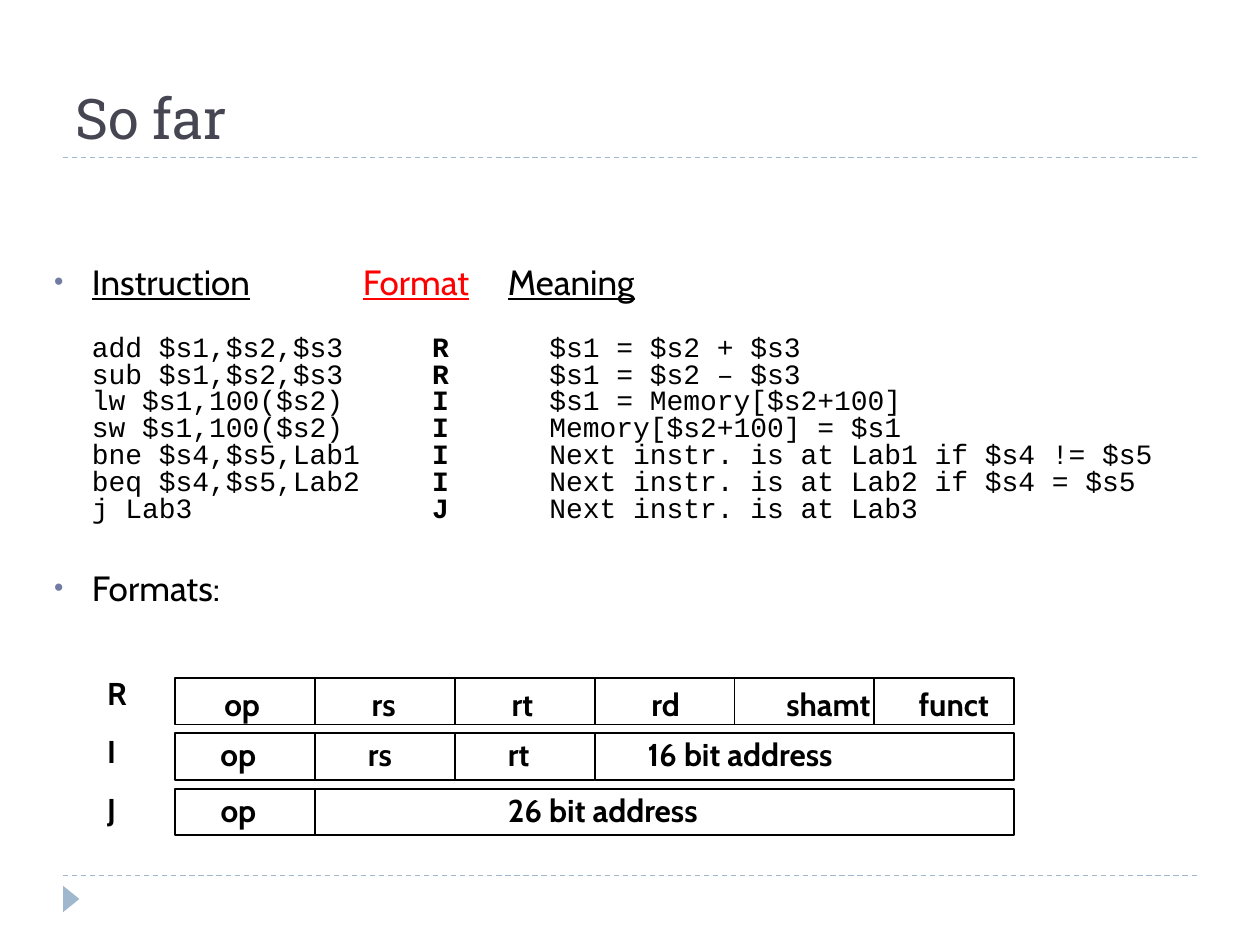
from copy import deepcopy
from dataclasses import dataclass

from lxml.etree import SubElement
from pptx import Presentation
from pptx.dml.color import RGBColor
from pptx.enum.dml import MSO_LINE
from pptx.enum.shapes import MSO_CONNECTOR, MSO_SHAPE
from pptx.enum.text import MSO_ANCHOR, MSO_AUTO_SIZE, PP_ALIGN
from pptx.oxml.ns import qn
from pptx.util import Inches, Pt

BLACK = RGBColor(0x00, 0x00, 0x00)
RED = RGBColor(0xFF, 0x00, 0x00)
SLATE = RGBColor(0x46, 0x46, 0x53)
PALE_BLUE = RGBColor(0x9F, 0xB8, 0xCD)
BULLET_COLOR = RGBColor(0x72, 0x7C, 0xA3)

HEADING_FONT, TEXT_FONT, CODE_FONT = "Roboto Slab", "Cabin", "Courier New"


@dataclass
class Instruction:
    code: str
    format: str
    meaning: str


@dataclass
class FormatRow:
    top: float
    spans: list[int]  # cell widths in field units
    text: str
    text_left: float
    text_top: float
    text_width: float


INSTRUCTIONS = [
    Instruction("add $s1,$s2,$s3", "R", "$s1 = $s2 + $s3"),
    Instruction("sub $s1,$s2,$s3", "R", "$s1 = $s2 – $s3"),
    Instruction("lw $s1,100($s2)", "I", "$s1 = Memory[$s2+100]"),
    Instruction("sw $s1,100($s2)", "I", "Memory[$s2+100] = $s1"),
    Instruction("bne $s4,$s5,Lab1", "I", "Next instr. is at Lab1 if $s4 != $s5"),
    Instruction("beq $s4,$s5,Lab2", "I", "Next instr. is at Lab2 if $s4 = $s5"),
    Instruction("j Lab3", "J", "Next instr. is at Lab3"),
]
FORMAT_ROWS = [
    FormatRow(5.38, [1] * 6, "\top\trs\trt\trd\tshamt\tfunct", 1.03, 5.33, 6.99),
    FormatRow(5.82, [1, 1, 1, 3], "\top\trs\trt\t16 bit address", 1, 5.73, 6.43),
    FormatRow(6.26, [1, 5], "\top\t\t26 bit address", 1, 6.17, 5.32),
]
FIELD_LEFT, FIELD_WIDTH, FIELD_HEIGHT = 1.39, 1.11, 0.37
FIELD_TABS = [0.61, 1.78, 2.89, 4, 5.07, 6.12]
# Stops for: Format heading, format letter, Meaning heading, meaning text
LISTING_TABS = [2.45, 3, 3.6, 3.93]


def place(shape, left: float, top: float, width: float, height: float) -> None:
    shape.left, shape.top = Inches(left), Inches(top)
    shape.width, shape.height = Inches(width), Inches(height)


def set_bullet(paragraph) -> None:
    properties = paragraph._p.get_or_add_pPr()
    properties.set("marL", str(Inches(0.3)))
    properties.set("indent", str(Inches(-0.3)))
    color = SubElement(properties, qn("a:buClr"))
    SubElement(color, qn("a:srgbClr"), val=str(BULLET_COLOR))
    SubElement(properties, qn("a:buSzPct"), val="76000")
    SubElement(properties, qn("a:buChar"), char="•")


def set_tabs(paragraph, stops: list[float]) -> None:
    tabs = SubElement(paragraph._p.get_or_add_pPr(), qn("a:tabLst"))
    for stop in stops:
        SubElement(tabs, qn("a:tab"), pos=str(Inches(stop)), algn="l")


def set_font(styled, name: str, size: float, color=BLACK, bold=None) -> None:
    font = styled.font
    font.name, font.size, font.bold = name, Pt(size), bold
    font.color.rgb = color


def add_run(paragraph, text: str):
    run = paragraph.add_run()
    run.text = text
    return run


def add_heading_run(paragraph, text: str, color=BLACK, underline: bool = True) -> None:
    run = add_run(paragraph, text)
    set_font(run, TEXT_FONT, 20, color)
    run.font.underline = underline


def add_code_run(paragraph, text: str, bold: bool = False) -> None:
    set_font(add_run(paragraph, text), CODE_FONT, 16, bold=bold)


def break_line(paragraph) -> None:
    """Add a line break that keeps the format of the last run."""
    properties = deepcopy(paragraph.runs[-1].font._rPr)
    paragraph.add_line_break()
    paragraph._p[-1].append(properties)


def add_rule(slide, y: float) -> None:
    rule = slide.shapes.add_connector(
        MSO_CONNECTOR.STRAIGHT, Inches(0.5), Inches(y), Inches(9.5), Inches(y))
    rule.line.color.rgb = PALE_BLUE
    rule.line.width = Pt(0.75)
    rule.line.dash_style = MSO_LINE.DASH
    SubElement(rule._element.spPr, qn("a:effectLst"))


def add_label_box(slide, left: float, top: float, width: float, height: float):
    frame = slide.shapes.add_textbox(
        Inches(left), Inches(top), Inches(width), Inches(height)).text_frame
    frame.word_wrap = False
    frame.margin_left = frame.margin_right = Inches(0.02)
    frame.margin_top = frame.margin_bottom = Inches(0.03)
    return frame


def add_format_cells(slide, row: FormatRow) -> None:
    left = FIELD_LEFT
    for span in row.spans:
        width = span * FIELD_WIDTH
        cell = slide.shapes.add_shape(
            MSO_SHAPE.RECTANGLE, Inches(left), Inches(row.top),
            Inches(width), Inches(FIELD_HEIGHT))
        cell.shadow.inherit = False
        cell.fill.background()
        cell.line.color.rgb = BLACK
        cell.line.width = Pt(1)
        left += width


def add_format_text(slide, row: FormatRow) -> None:
    frame = add_label_box(slide, row.text_left, row.text_top, row.text_width, 0.67)
    frame.margin_left = Inches(0.14)
    fields = frame.paragraphs[0]
    set_tabs(fields, FIELD_TABS)
    fields.line_spacing = Pt(27)
    set_font(fields, TEXT_FONT, 18, bold=True)
    add_run(fields, row.text)


def fill_body(frame) -> None:
    # Column headings
    listing = frame.paragraphs[0]
    set_bullet(listing)
    set_tabs(listing, LISTING_TABS)
    listing.space_before = Pt(0)
    listing.line_spacing = 0.8
    add_heading_run(listing, "Instruction")
    add_heading_run(listing, "\t", underline=False)
    add_heading_run(listing, "Format", RED)
    add_heading_run(listing, "\t", underline=False)
    add_heading_run(listing, "Meaning")
    break_line(listing)

    # Instruction lines, each passing over the two heading stops
    for instruction in INSTRUCTIONS:
        break_line(listing)
        add_code_run(listing, instruction.code + "\t\t")
        add_code_run(listing, instruction.format, bold=True)
        add_code_run(listing, "\t\t" + instruction.meaning)

    # Lead-in to the format diagram
    formats = frame.add_paragraph()
    set_bullet(formats)
    formats.space_before = Pt(29)
    formats.line_spacing = 0.8
    set_font(formats, TEXT_FONT, 20)
    add_run(formats, "Formats:")


def main() -> None:
    prs = Presentation()
    prs.slide_width, prs.slide_height = Inches(10), Inches(7.5)
    slide = prs.slides.add_slide(prs.slide_layouts[1])

    # Rules and corner marker
    add_rule(slide, 6.95)
    add_rule(slide, 1.25)
    marker = slide.shapes.add_shape(
        MSO_SHAPE.ISOSCELES_TRIANGLE, Inches(0.46), Inches(7.07), Inches(0.21), Inches(0.13))
    marker.rotation = 90
    marker.shadow.inherit = False
    marker.fill.solid()
    marker.fill.fore_color.rgb = PALE_BLUE
    marker.line.fill.background()

    # Title and body
    title, body = slide.shapes.title, slide.placeholders[1]
    place(title, 0.5, 0.17, 9, 1.08)
    title.text_frame.text = "So far"
    title.text_frame.vertical_anchor = MSO_ANCHOR.BOTTOM
    title.text_frame.auto_size = MSO_AUTO_SIZE.NONE
    heading = title.text_frame.paragraphs[0]
    heading.alignment = PP_ALIGN.LEFT
    set_font(heading, HEADING_FONT, 32, SLATE)
    place(body, 0.33, 2.08, 9.17, 4.5)
    body.text_frame.auto_size = MSO_AUTO_SIZE.NONE
    fill_body(body.text_frame)

    # Instruction format diagram
    for row in FORMAT_ROWS:
        add_format_cells(slide, row)
    for row in FORMAT_ROWS:
        add_format_text(slide, row)
    names = add_label_box(slide, 0.83, 5.33, 0.44, 1.49)
    for index, name in enumerate("RIJ"):
        label = names.add_paragraph() if index else names.paragraphs[0]
        label.space_before = Pt(12 if index else 0)
        label.line_spacing = Pt(21)
        set_font(label, TEXT_FONT, 18, bold=True)
        add_run(label, name)

    prs.save("out.pptx")


if __name__ == "__main__":
    main()
